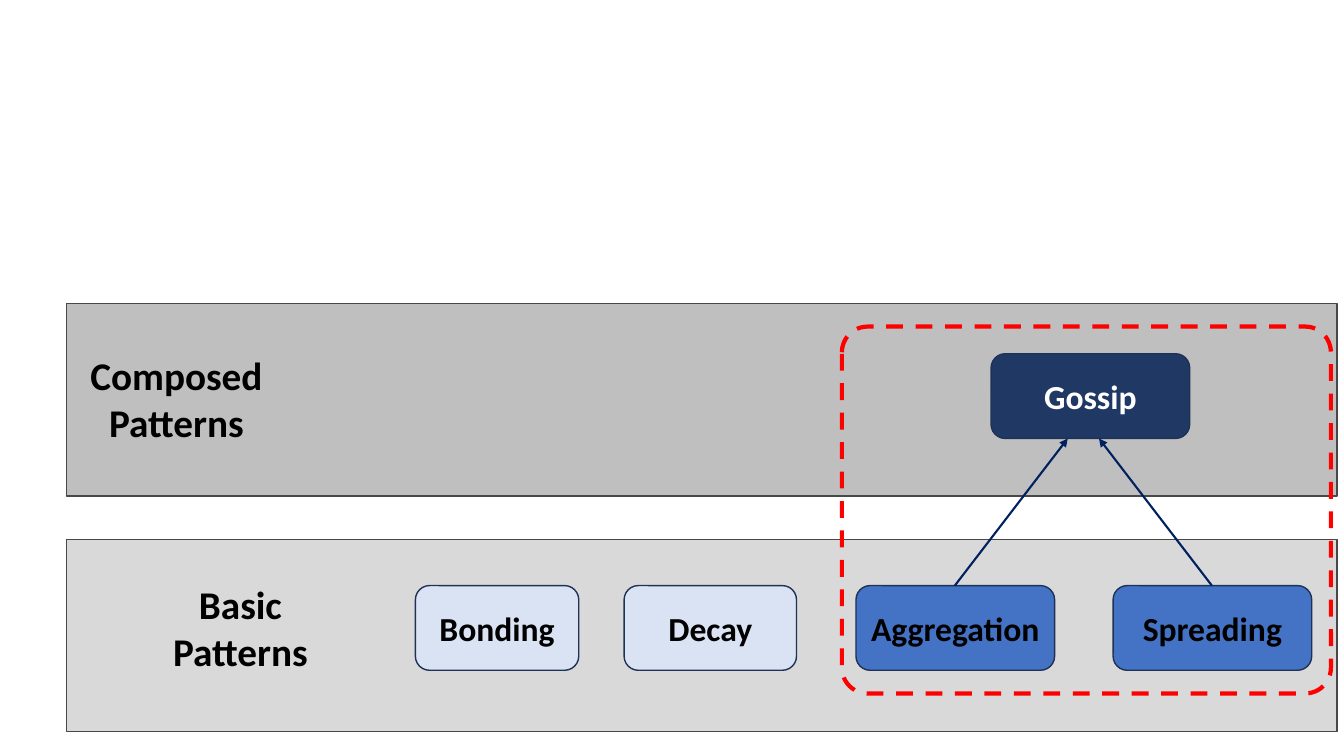
import dataclasses

import pptx
import pptx.dml.color
import pptx.enum.dml
import pptx.enum.shapes
import pptx.enum.text
import pptx.oxml
import pptx.oxml.ns
import pptx.util

Inches = pptx.util.Inches
Pt = pptx.util.Pt
SHAPE = pptx.enum.shapes.MSO_SHAPE

COLORS = {
    "composed band": "BFBFBF",
    "basic band": "D9D9D9",
    "band line": "484848",
    "composed": "203864",
    "used": "4472C4",
    "unused": "DAE3F3",
    "pattern line": "1E3256",
    "arrow": "002060",
    "highlight": "FF0000",
    "black": "000000",
    "white": "FFFFFF",
}
FONT = "Calibri"
BASIC_TOP = 5.81
PATTERN_HEIGHT = 0.84


@dataclasses.dataclass
class Band:
    top: float
    fill: str


@dataclasses.dataclass
class Pattern:
    name: str
    left: float
    top: float
    width: float
    fill: str
    text_color: str = "black"


@dataclasses.dataclass
class Label:
    lines: list[str]
    left: float
    top: float
    width: float


@dataclasses.dataclass
class Arrow:
    start: tuple[float, float]
    end: tuple[float, float]


BANDS = [Band(3.01, "composed band"), Band(5.35, "basic band")]
PATTERNS = [
    Pattern("Gossip", 9.83, 3.51, 1.97, "composed", "white"),
    Pattern("Spreading", 11.04, BASIC_TOP, 1.97, "used"),
    Pattern("Aggregation", 8.49, BASIC_TOP, 1.97, "used"),
    Pattern("Decay", 6.19, BASIC_TOP, 1.71, "unused"),
    Pattern("Bonding", 4.12, BASIC_TOP, 1.62, "unused"),
]
LABELS = [
    Label(["Basic", "Patterns"], 0.75, 5.71, 3.27),
    Label(["Composed", "Patterns"], 0.76, 3.44, 1.98),
]
ARROWS = [
    Arrow((9.47, BASIC_TOP), (10.59, 4.35)),
    Arrow((12.02, BASIC_TOP), (10.9, 4.35)),
]


def rgb(name: str) -> pptx.dml.color.RGBColor:
    return pptx.dml.color.RGBColor.from_string(COLORS[name])


def add_outlined(page, kind, left: float, top: float, width: float, height: float,
                 line: str, weight: float = 1, fill: str | None = None):
    """Add a shadowless shape; without a fill colour it is see-through."""
    shape = page.shapes.add_shape(
        kind, Inches(left), Inches(top), Inches(width), Inches(height))
    shape.shadow.inherit = False
    if fill:
        shape.fill.solid()
        shape.fill.fore_color.rgb = rgb(fill)
    else:
        shape.fill.background()
    shape.line.color.rgb = rgb(line)
    shape.line.width = Pt(weight)
    return shape


def write_centered(frame, lines: list[str], size: float, color: str) -> None:
    frame.word_wrap = True
    for index, line in enumerate(lines):
        para = frame.paragraphs[0] if index == 0 else frame.add_paragraph()
        para.text = line
        para.alignment = pptx.enum.text.PP_ALIGN.CENTER
        para.font.name = FONT
        para.font.size = Pt(size)
        para.font.bold = True
        para.font.color.rgb = rgb(color)


def add_pattern(page, pattern: Pattern) -> None:
    box = add_outlined(page, SHAPE.ROUNDED_RECTANGLE, pattern.left, pattern.top,
                       pattern.width, PATTERN_HEIGHT, "pattern line", fill=pattern.fill)
    frame = box.text_frame
    frame.margin_left = frame.margin_right = Inches(0.05)
    frame.vertical_anchor = pptx.enum.text.MSO_ANCHOR.MIDDLE
    write_centered(frame, [pattern.name], 24, pattern.text_color)


def add_label(page, label: Label) -> None:
    box = page.shapes.add_textbox(
        Inches(label.left), Inches(label.top), Inches(label.width), Inches(1.04))
    write_centered(box.text_frame, label.lines, 28, "black")
    box.text_frame.auto_size = pptx.enum.text.MSO_AUTO_SIZE.SHAPE_TO_FIT_TEXT


def add_arrow(page, arrow: Arrow) -> None:
    connector = page.shapes.add_connector(
        pptx.enum.shapes.MSO_CONNECTOR.STRAIGHT,
        *(Inches(value) for value in arrow.start + arrow.end))
    connector.line.color.rgb = rgb("arrow")
    connector.line.width = Pt(1.5)
    head = pptx.oxml.parse_xml(
        f'<a:tailEnd {pptx.oxml.ns.nsdecls("a")} type="triangle"/>')
    connector.line._get_or_add_ln().append(head)
    no_effects = pptx.oxml.parse_xml(f'<a:effectLst {pptx.oxml.ns.nsdecls("a")}/>')
    connector._element.spPr.append(no_effects)


def main() -> None:
    deck = pptx.Presentation()
    deck.slide_width = Inches(13.33)
    deck.slide_height = Inches(7.5)
    page = deck.slides.add_slide(deck.slide_layouts[6])

    for band in BANDS:
        add_outlined(page, SHAPE.RECTANGLE, 0.66, band.top, 12.6, 1.91,
                     "band line", fill=band.fill)
    for pattern in PATTERNS:
        add_pattern(page, pattern)
    for label in LABELS:
        add_label(page, label)
    for arrow in ARROWS:
        add_arrow(page, arrow)

    highlight = add_outlined(page, SHAPE.ROUNDED_RECTANGLE, 8.35, 3.24, 4.85, 3.64,
                             "highlight", weight=3)
    highlight.adjustments[0] = 0.07
    highlight.line.dash_style = pptx.enum.dml.MSO_LINE.DASH

    deck.save("out.pptx")


if __name__ == "__main__":
    main()
